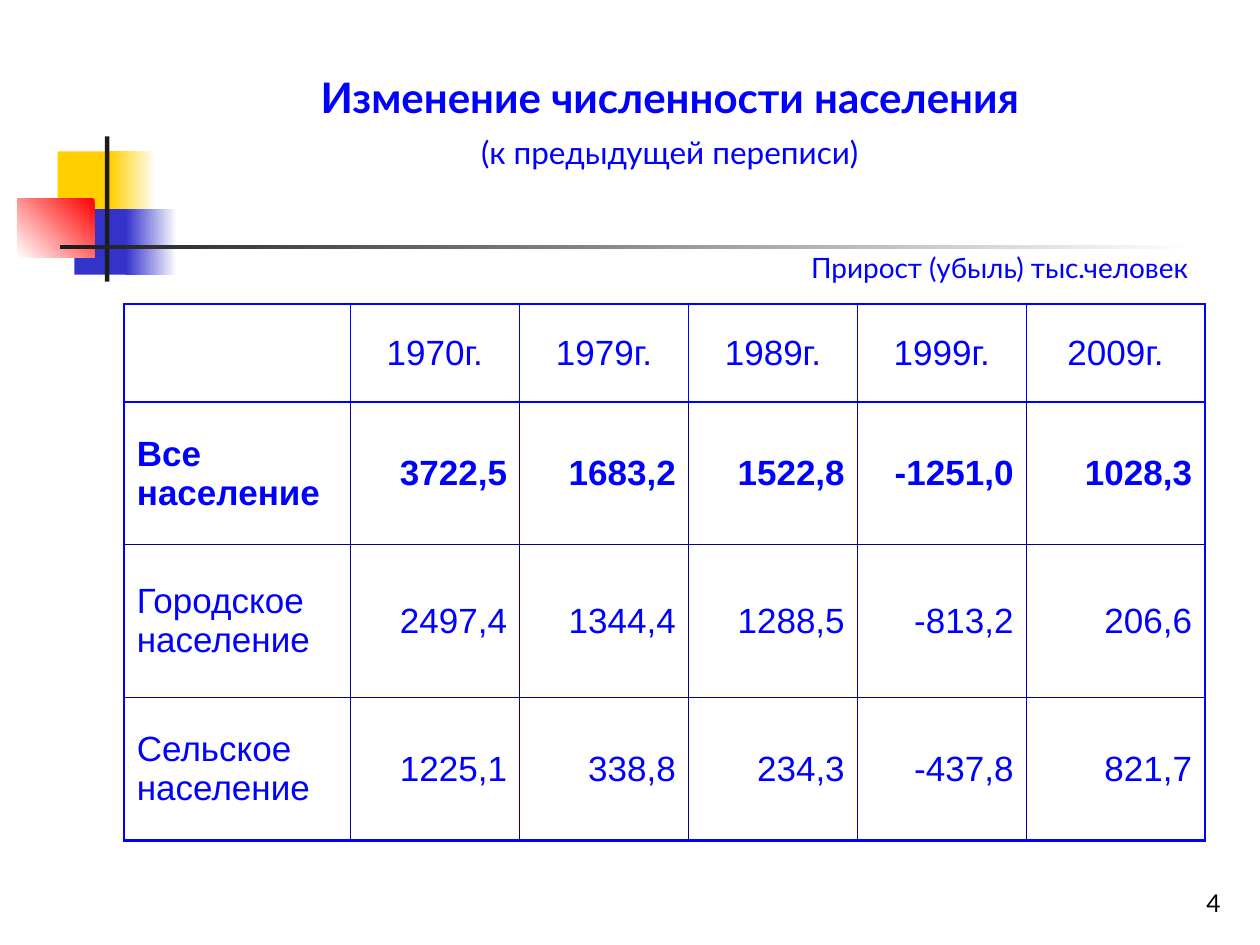
import pptx
import pptx.util
import pptx.dml.color
import pptx.enum.shapes
import pptx.enum.text
import pptx.oxml.ns
import lxml.etree

Pt = pptx.util.Pt
Align = pptx.enum.text.PP_ALIGN
Anchor = pptx.enum.text.MSO_ANCHOR
BLUE, NAVY, WHITE, DARK = "0000FF", "000099", "FFFFFF", "1C1C1C"
THICK, THIN = 1.47, 0.45


def color(code):
    return pptx.dml.color.RGBColor.from_string(code)


class Page:
    text_font = "Lato"
    grid_font = "Arial"

    def __init__(self, deck):
        self.slide = deck.slides.add_slide(deck.slide_layouts[5])
        self.shapes = self.slide.shapes

    def style(self, para, size, code=BLUE, bold=False, align=Align.LEFT, font=None):
        para.alignment = align
        for run in para.runs:
            run.font.size = Pt(size)
            run.font.bold = bold
            run.font.name = font or self.text_font
            run.font.color.rgb = color(code)

    def place(self, shape, box):
        shape.left, shape.top, shape.width, shape.height = map(Pt, box)

    def title(self, box, head, sub):
        shape = self.shapes.title
        self.place(shape, box)
        frame = shape.text_frame
        frame.text = head + "\n" + sub
        frame.auto_size = pptx.enum.text.MSO_AUTO_SIZE.NONE
        frame.vertical_anchor = Anchor.TOP
        first, second = frame.paragraphs
        self.style(first, 24, bold=True, align=Align.CENTER)
        self.style(second, 18, align=Align.CENTER)
        second.space_before = Pt(6)

    def text(self, box, words, size, code=BLUE, align=Align.LEFT, anchor=Anchor.TOP):
        frame = self.shapes.add_textbox(*map(Pt, box)).text_frame
        frame.word_wrap = True
        frame.vertical_anchor = anchor
        frame.text = words
        self.style(frame.paragraphs[0], size, code, align=align)

    def block(self, box, first, last=None, angle=0):
        kind = pptx.enum.shapes.MSO_SHAPE.RECTANGLE
        shape = self.shapes.add_shape(kind, *map(Pt, box))
        shape.shadow.inherit = False
        shape.line.fill.background()
        if last is None:
            shape.fill.solid()
            shape.fill.fore_color.rgb = color(first)
            return
        shape.fill.gradient()
        shape.fill.gradient_angle = angle
        for stop, code in zip(shape.fill.gradient_stops, (first, last)):
            stop.color.rgb = color(code)

    def border(self, cell, edges):
        props = cell._tc.get_or_add_tcPr()
        qn = pptx.oxml.ns.qn
        for spot, side in enumerate("LRTB"):
            code, width = edges[side]
            line = lxml.etree.Element(qn("a:ln" + side), w=str(int(Pt(width))))
            fill = lxml.etree.SubElement(line, qn("a:solidFill"))
            lxml.etree.SubElement(fill, qn("a:srgbClr"), val=code)
            props.insert(spot, line)

    def table(self, left, top, widths, heights, rows):
        box = (left, top, sum(widths), sum(heights))
        grid = self.shapes.add_table(len(rows), len(widths), *map(Pt, box)).table
        grid.first_row = grid.horz_banding = False
        for col, width in zip(grid.columns, widths):
            col.width = Pt(width)
        for row, height in zip(grid.rows, heights):
            row.height = Pt(height)
        end_row, end_col = len(rows) - 1, len(widths) - 1
        for r, row in enumerate(rows):
            for c, words in enumerate(row):
                cell = grid.cell(r, c)
                cell.text = words
                cell.vertical_anchor = Anchor.MIDDLE
                cell.fill.solid()
                cell.fill.fore_color.rgb = color(WHITE)
                align = Align.CENTER if r == 0 else Align.RIGHT if c else Align.LEFT
                para = cell.text_frame.paragraphs[0]
                para.space_before = Pt(5)
                self.style(para, 20, bold=r == 1, align=align, font=self.grid_font)
                # Thick frame and header, thin inner lines
                thick, thin = (BLUE, THICK), (NAVY if r else BLUE, THIN)
                self.border(cell, {
                    "L": thick if c == 0 else thin,
                    "R": thick if c == end_col else thin,
                    "T": thick if r <= 1 else thin,
                    "B": thick if r in (0, end_row) else thin})


deck = pptx.Presentation()
deck.slide_width, deck.slide_height = Pt(720), Pt(540)
page = Page(deck)

# Corner emblem and rule
page.block((33, 86.5, 34.5, 37.5), "FFCF01")
page.block((63, 86.5, 26, 37.5), WHITE, "FFCF01", 180)
page.block((42.5, 119.5, 33, 37.5), "3333CC")
page.block((72, 119.5, 29, 37.5), WHITE, "3333CC", 180)
page.block((10, 113.5, 44, 33.5), "FF0000", WHITE, 225)
page.block((60, 78, 2.5, 83), DARK)
page.block((34.5, 140, 648, 2.5), WHITE, DARK, 180)

# Heading
page.title((127.5, 37.5, 510.5, 65), "Изменение численности населения",
           "(к предыдущей переписи)")

# Population table
page.table(71, 173.75, [129, 97, 96.5, 96.5, 96.5, 102], [56, 81.5, 87.5, 81.5], [
    ["", "1970г.", "1979г.", "1989г.", "1999г.", "2009г."],
    ["Все население", "3722,5", "1683,2", "1522,8", "-1251,0", "1028,3"],
    ["Городское население", "2497,4", "1344,4", "1288,5", "-813,2", "206,6"],
    ["Сельское население", "1225,1", "338,8", "234,3", "-437,8", "821,7"],
])

# Unit note and page number
page.text((456.5, 139.5, 244, 26.5), "Прирост (убыль) тыс.человек", 16)
page.text((554.5, 492, 150, 36), "4", 14, "000000", Align.RIGHT, Anchor.BOTTOM)

deck.save("out.pptx")
